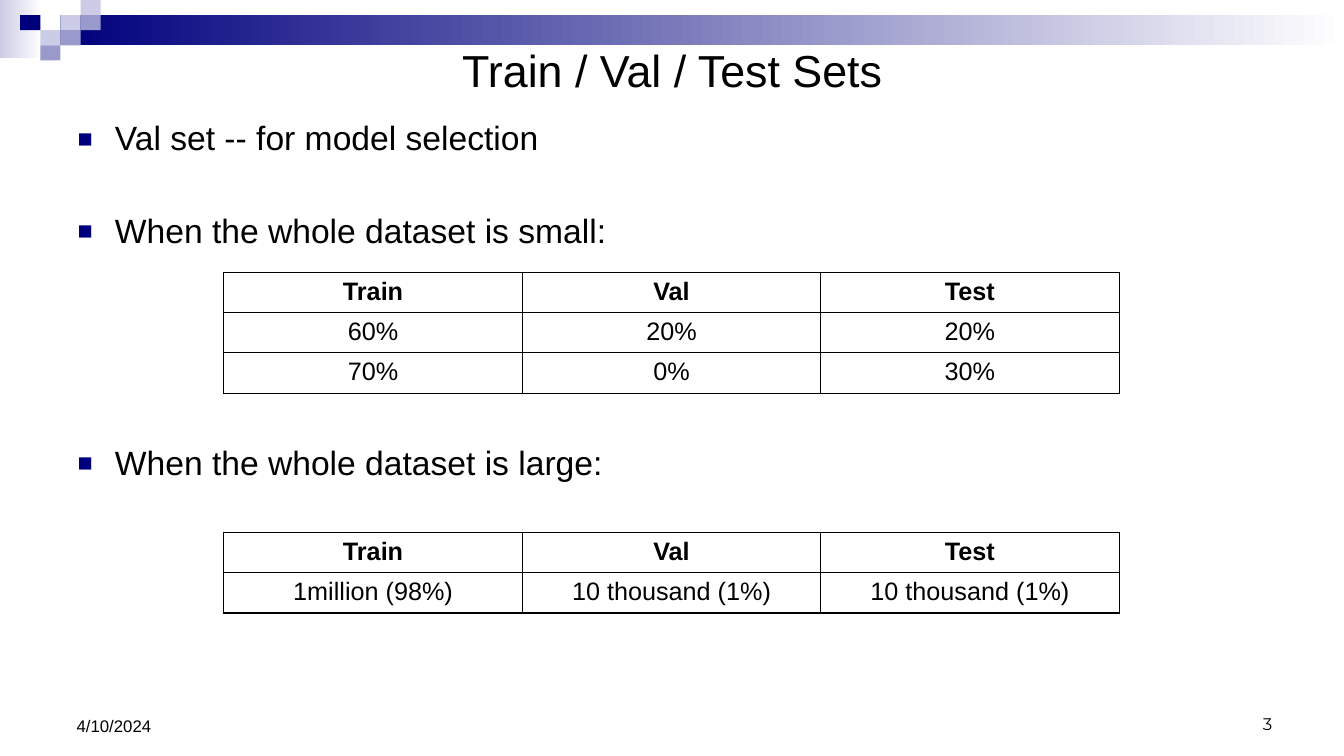
"""Build the slide on train, validation and test sets."""
from lxml.etree import SubElement
from pptx import Presentation
from pptx.dml.color import RGBColor
from pptx.enum.shapes import MSO_SHAPE
from pptx.enum.text import MSO_ANCHOR, MSO_AUTO_SIZE, PP_ALIGN
from pptx.oxml import parse_xml
from pptx.oxml.ns import nsdecls, qn
from pptx.util import Inches, Pt

BLACK, WHITE, NAVY, MID, PALE = "000000", "FFFFFF", "00007D", "9999CC", "CCCCE6"
TITLE = "Train / Val / Test Sets"
POINTS = [
    ("Val set -- for model selection", 0),
    ("When the whole dataset is small:", 39.4),
    ("When the whole dataset is large:", 138.7),
]
HEAD = ("Train", "Val", "Test")
TABLES = [
    (2.7, [HEAD, ("60%", "20%", "20%"), ("70%", "0%", "30%")]),
    (5.28, [HEAD, ("1million (98%)", "10 thousand (1%)", "10 thousand (1%)")]),
]
BANDS = [((0, 0, 0.42, 0.58), PALE), ((0.6, 0.15, 12.73, 0.3), NAVY)]
TILES = [(3, 1, PALE), (4, 0, PALE), (4, 1, MID), (2, 2, PALE),
         (1, 1, NAVY), (3, 2, MID), (2, 3, MID)]
NOTES = [
    ("3", (12.33, 6.99, 0.34, 0.34), "Montserrat", PP_ALIGN.RIGHT),
    ("4/10/2024", (0.71, 7.06, 3.01, 0.29), "Arial", PP_ALIGN.LEFT),
]
TILE_W, TILE_H = 0.2, 0.15
COL_W, ROW_H, LEFT = 2.96, 0.4, 2.22


def color(code):
    return RGBColor.from_string(code)


def style(para, size, face="Arial", bold=False, align=PP_ALIGN.LEFT):
    para.alignment = align
    font = para.font
    font.size, font.name, font.bold = Pt(size), face, bold
    font.color.rgb = color(BLACK)


def place(shape, box):
    shape.left, shape.top, shape.width, shape.height = map(Inches, box)


def block(slide, box):
    shape = slide.shapes.add_shape(MSO_SHAPE.RECTANGLE, *map(Inches, box))
    shape.shadow.inherit = False
    shape.line.fill.background()
    return shape


def add_bands(slide):
    for box, code in BANDS:
        fill = block(slide, box).fill
        fill.gradient()
        fill.gradient_angle = 0
        for stop, shade in zip(fill.gradient_stops, (code, WHITE)):
            stop.color.rgb = color(shade)
    for col, row, code in TILES:
        fill = block(slide, (col * TILE_W, row * TILE_H, TILE_W, TILE_H)).fill
        fill.solid()
        fill.fore_color.rgb = color(code)


def add_mark(para):
    props = para._p.get_or_add_pPr()
    props.set("marL", str(Inches(0.37)))
    props.set("indent", str(-Inches(0.37)))
    tint = SubElement(props, qn("a:buClr"))
    SubElement(tint, qn("a:srgbClr"), val=NAVY)
    SubElement(props, qn("a:buSzPct"), val="75000")
    SubElement(props, qn("a:buFont"), typeface="Arial")
    SubElement(props, qn("a:buChar"), char="■")


def add_text(slide):
    title, body = slide.shapes.title, slide.placeholders[1]
    for shape in (title, body):
        slide.shapes._spTree.append(shape._element)
        shape.text_frame.auto_size = MSO_AUTO_SIZE.NONE
    place(title, (0.67, 0.21, 12, 1.02))
    title.text_frame.text = TITLE
    title.text_frame.vertical_anchor = MSO_ANCHOR.MIDDLE
    head = title.text_frame.paragraphs[0]
    head.line_spacing = 0.93
    style(head, 32, align=PP_ALIGN.CENTER)
    place(body, (0.67, 1.15, 12, 5.43))
    frame = body.text_frame
    frame.text = "\n".join(text for text, gap in POINTS)
    for para, (text, gap) in zip(frame.paragraphs, POINTS):
        add_mark(para)
        para.line_spacing, para.space_before = 0.93, Pt(gap)
        style(para, 24)


def add_notes(slide):
    for text, box, face, align in NOTES:
        frame = slide.shapes.add_textbox(*map(Inches, box)).text_frame
        frame.word_wrap = len(text) > 1
        frame.vertical_anchor = MSO_ANCHOR.BOTTOM
        frame.margin_left = frame.margin_right = Inches(0.05)
        frame.text = text
        style(frame.paragraphs[0], 12, face, align=align)


def add_grid(slide, top, rows):
    cols = len(HEAD)
    box = (LEFT, top, COL_W * cols, ROW_H * len(rows))
    table = slide.shapes.add_table(len(rows), cols, *map(Inches, box)).table
    table.first_row = table.horz_banding = False
    for i, row in enumerate(rows):
        for j, text in enumerate(row):
            cell = table.cell(i, j)
            cell.text = text
            cell.margin_left = cell.margin_right = Inches(0.05)
            cell.margin_top = cell.margin_bottom = Inches(0.05)
            style(cell.text_frame.paragraphs[0], 18, bold=i == 0,
                  align=PP_ALIGN.CENTER)
            cell.fill.background()
            props = cell._tc.get_or_add_tcPr()
            for k, side in enumerate("LRTB"):
                props.insert(k, parse_xml(
                    f'<a:ln{side} {nsdecls("a")} w="12700"><a:solidFill>'
                    f'<a:srgbClr val="{BLACK}"/></a:solidFill></a:ln{side}>'))


def main():
    deck = Presentation()
    deck.slide_width, deck.slide_height = Inches(13.33), Inches(7.5)
    slide = deck.slides.add_slide(deck.slide_layouts[1])
    add_bands(slide)
    add_text(slide)
    add_notes(slide)
    for top, rows in TABLES:
        add_grid(slide, top, rows)
    deck.save("out.pptx")


if __name__ == "__main__":
    main()
